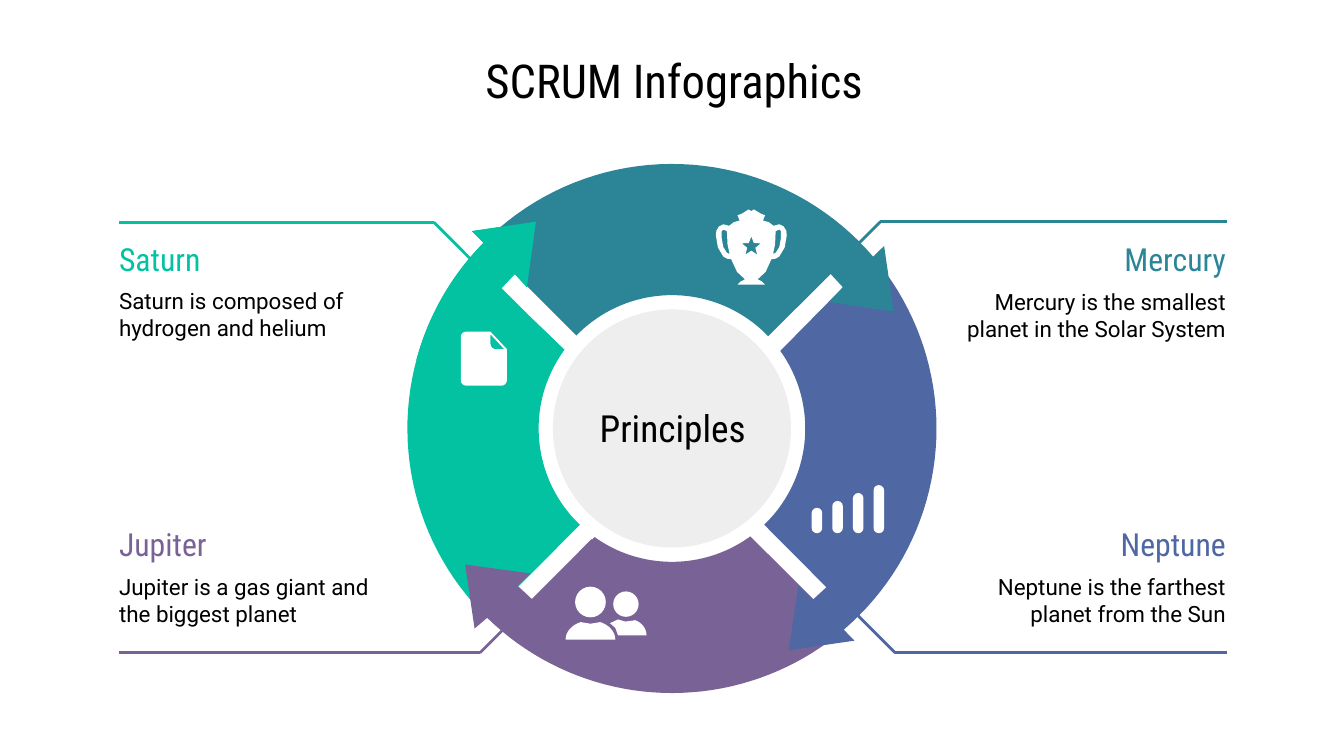
"""Build a slide with a four-part SCRUM cycle and its labelled callouts."""
from math import cos, pi, radians, sin

from lxml import etree
from pptx import Presentation
from pptx.dml.color import RGBColor
from pptx.enum.shapes import MSO_CONNECTOR, MSO_SHAPE
from pptx.enum.text import MSO_ANCHOR, PP_ALIGN
from pptx.oxml.ns import qn
from pptx.util import Cm, Pt

STRAIGHT = MSO_CONNECTOR.STRAIGHT
OVAL = MSO_SHAPE.OVAL
ROUNDED = MSO_SHAPE.ROUNDED_RECTANGLE
MIDDLE = MSO_ANCHOR.MIDDLE
LEFT, CENTER, RIGHT = PP_ALIGN.LEFT, PP_ALIGN.CENTER, PP_ALIGN.RIGHT

BLACK, WHITE, GRAY = "000000", "FFFFFF", "EEEEEE"
GREEN, PURPLE, BLUE, TEAL = "03C2A2", "796295", "4F67A2", "2B8597"
BODY_FONT, HEADING_FONT = "Roboto", "Roboto Condensed"
CENTER_X, CENTER_Y = 12.7, 8.1
OUTER_RADIUS, INNER_RADIUS, HUB_RADIUS = 5, 2.52, 2.25


def paint(shape, colour):
    shape.fill.solid()
    shape.fill.fore_color.rgb = RGBColor.from_string(colour)
    shape.line.fill.background()
    shape.shadow.inherit = False


def arc(x, y, radius_x, radius_y, start, end, steps=40):
    angles = [radians(start + (end - start) * i / steps) for i in range(steps + 1)]
    return [(x + radius_x * cos(a), y + radius_y * sin(a)) for a in angles]


presentation = Presentation()
presentation.slide_width = Cm(25.4)
presentation.slide_height = Cm(14.29)
slide = presentation.slides.add_slide(presentation.slide_layouts[6])

callouts = [
    ("Jupiter", "Jupiter is a gas giant and the biggest planet", PURPLE, LEFT,
     9.78, 10.52, [(11.2, 10.21), (9.07, 12.34), (2.24, 12.34)]),
    ("Neptune", "Neptune is the farthest planet from the Sun", BLUE, RIGHT,
     9.78, 10.52, [(14.78, 10.21), (16.92, 12.34), (23.19, 12.34)]),
    ("Saturn", "Saturn is composed of hydrogen and helium", GREEN, LEFT,
     4.39, 5.11, [(10.34, 6.35), (8.2, 4.2), (2.24, 4.2)]),
    ("Mercury", "Mercury is the smallest planet in the Solar System", TEAL, RIGHT,
     4.39, 5.13, [(14.5, 6.32), (16.64, 4.19), (23.19, 4.19)]),
]
texts = [
    ("SCRUM Infographics", 1.35, 0.84, 22.78, 1.35, 25, HEADING_FONT, BLACK, CENTER),
    ("Principles", 10.95, 6.73, 3.53, 2.72, 20, HEADING_FONT, BLACK, CENTER),
]
for name, description, colour, side, name_top, description_top, route in callouts:
    left = 2 if side == LEFT else 17.65
    texts += [
        (description, left, description_top, 5.77, 1.65, 12, BODY_FONT, BLACK, side),
        (name, left, name_top, 5.77, 0.99, 17, HEADING_FONT, colour, side),
    ]
    for (x1, y1), (x2, y2) in zip(route, route[1:]):
        line = slide.shapes.add_connector(STRAIGHT, Cm(x1), Cm(y1), Cm(x2), Cm(y2))
        line.line.color.rgb = RGBColor.from_string(colour)
        line.line.width = Pt(1.5)
        etree.SubElement(line._element.spPr, qn("a:effectLst"))

right_head = [(4.01, -3.45), (4.19, -2.21), (2.97, -2.39), (3.23, -2.67), (3, -2.92)]
left_head = [(-3.78, -3.73), (-2.57, -3.91), (-2.74, -2.67), (-2.97, -2.92), (-3.23, -2.64)]
lower_right_head = [(-y, x) for x, y in right_head]
lower_left_head = [(y, -x) for x, y in left_head]
segments = [
    (GREEN, left_head, 134.3, 224.6, 216.2, 133.7),
    (PURPLE, lower_left_head, 49.5, 134.3, 125.5, 54),
    (BLUE, lower_right_head, -40.5, 49.5, 46.2, -35.6),
    (TEAL, right_head, -135.4, -40.5, -43.8, -135.8),
    (GREEN, left_head, 195, 224.6, 216.2, 200.6),
]
outlines = []
for colour, head, outer_start, outer_end, inner_start, inner_end in segments:
    rim = arc(CENTER_X, CENTER_Y, OUTER_RADIUS, OUTER_RADIUS, outer_start, outer_end)
    tip = [(CENTER_X + x, CENTER_Y + y) for x, y in head]
    bore = arc(CENTER_X, CENTER_Y, INNER_RADIUS, INNER_RADIUS, inner_start, inner_end)
    outlines.append((colour, [rim + tip + bore]))

front_body = (arc(11.16, 12.09, 0.47, 0.36, 180, 247, 8) + [(11.16, 11.79)]
              + arc(11.16, 12.09, 0.47, 0.36, 293, 360, 8))
back_body = ([(11.68, 12.01), (11.63, 11.87), (11.53, 11.78), (11.68, 11.71), (11.82, 11.75)]
             + arc(11.87, 12.01, 0.35, 0.31, 293, 360, 8))
page = (arc(8.81, 6.37, 0.1, 0.1, 180, 270, 6) + [(9.27, 6.27), (9.58, 6.6)]
        + arc(9.48, 7.19, 0.1, 0.1, 0, 90, 6) + arc(8.81, 7.19, 0.1, 0.1, 90, 180, 6))
page_fold = [(9.27, 6.32), (9.53, 6.6)] + arc(9.37, 6.5, 0.1, 0.1, 90, 180, 6)

TROPHY_X = 14.2
half_cup = [
    (0, 3.99), (0.05, 3.96), (0.1, 3.99), (0.18, 4.04), (0.26, 4.07), (0.22, 4.17),
    (0.33, 4.2), (0.42, 4.27), (0.53, 4.24), (0.61, 4.28), (0.66, 4.36), (0.67, 4.45),
    (0.63, 4.68), (0.53, 4.85), (0.46, 4.89), (0.38, 4.9), (0.27, 5.14), (0.12, 5.28),
    (0.2, 5.32), (0.26, 5.38), (0, 5.38),
]
half_handle = [(0.46, 4.37), (0.53, 4.34), (0.56, 4.37), (0.56, 4.5), (0.53, 4.67),
               (0.46, 4.78), (0.41, 4.8), (0.45, 4.62)]
cup = ([(TROPHY_X + x, y) for x, y in half_cup]
       + [(TROPHY_X - x, y) for x, y in reversed(half_cup)])
handles = [[(TROPHY_X + side * x, y) for x, y in half_handle] for side in (-1, 1)]
star = []
for i in range(10):
    radius = 0.08 if i % 2 else 0.19
    star.append((TROPHY_X + radius * sin(i * pi / 5), 4.66 - radius * cos(i * pi / 5)))

outlines += [
    (WHITE, [front_body]),
    (WHITE, [back_body]),
    (WHITE, [page, page_fold]),
    (WHITE, [cup, *handles, star]),
]
for colour, contours in outlines:
    builder = None
    for contour in contours:
        points = [(Cm(x), Cm(y)) for x, y in contour]
        if builder is None:
            builder = slide.shapes.build_freeform(*points[0])
        else:
            builder.move_to(*points[0])
        builder.add_line_segments(points[1:], close=True)
    paint(builder.convert_to_shape(), colour)

circles = [
    (11.16, 11.38, 0.29, WHITE),
    (11.83, 11.42, 0.24, WHITE),
    (CENTER_X, CENTER_Y, HUB_RADIUS, GRAY),
]
for x, y, radius, colour in circles:
    circle = slide.shapes.add_shape(
        OVAL, Cm(x - radius), Cm(y - radius), Cm(2 * radius), Cm(2 * radius))
    paint(circle, colour)

for i, height in enumerate([0.48, 0.61, 0.76, 0.91]):
    bar = slide.shapes.add_shape(
        ROUNDED, Cm(15.34 + 0.39 * i), Cm(10.08 - height), Cm(0.2), Cm(height))
    bar.adjustments[0] = 0.5
    paint(bar, WHITE)

for text, left, top, width, height, size, font, colour, alignment in texts:
    box = slide.shapes.add_textbox(Cm(left), Cm(top), Cm(width), Cm(height))
    frame = box.text_frame
    frame.word_wrap = True
    frame.vertical_anchor = MIDDLE
    frame.margin_left = frame.margin_right = Cm(0.25)
    frame.margin_top = frame.margin_bottom = Cm(0.25)
    paragraph = frame.paragraphs[0]
    paragraph.alignment = alignment
    run = paragraph.add_run()
    run.text = text
    run.font.name = font
    run.font.size = Pt(size)
    run.font.color.rgb = RGBColor.from_string(colour)

presentation.save("out.pptx")
